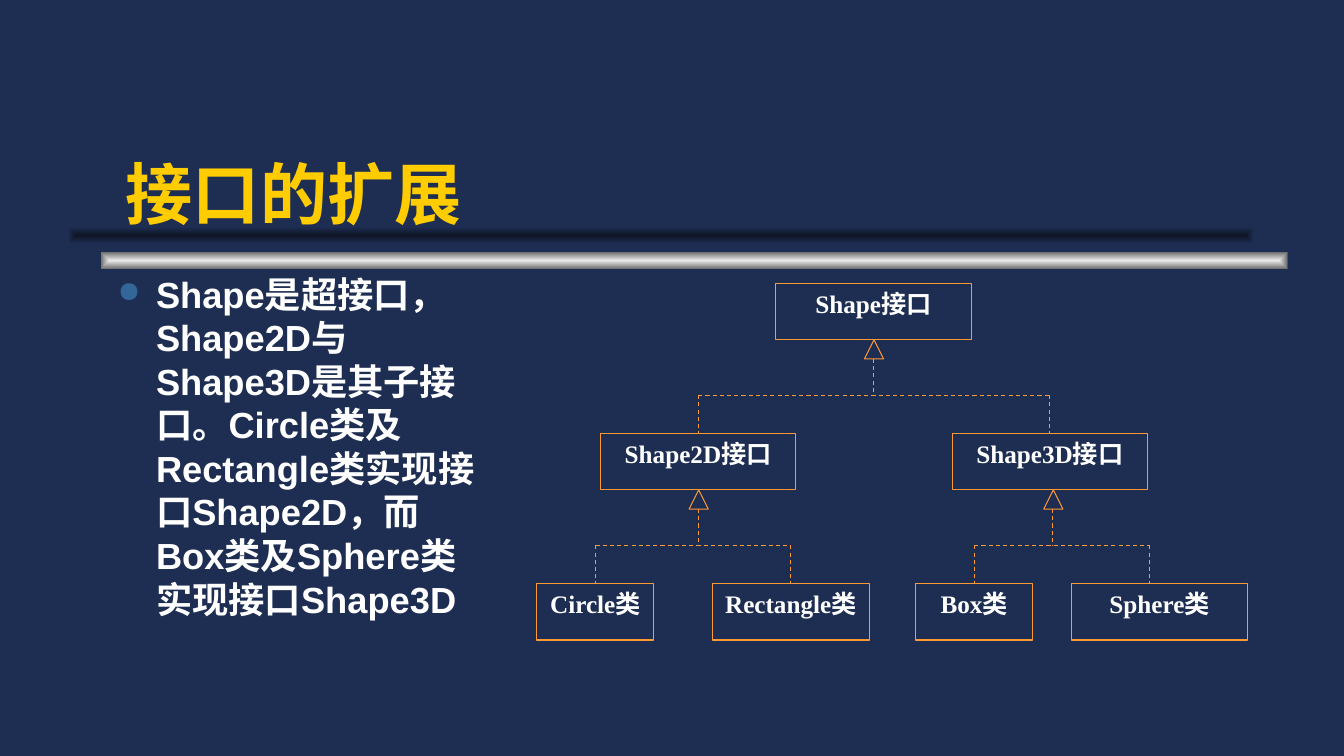
"""Build the slide on extending interfaces, with its class diagram."""
from dataclasses import dataclass
from typing import Optional

from lxml.etree import SubElement
from pptx import Presentation
from pptx.dml.color import RGBColor
from pptx.enum.dml import MSO_LINE
from pptx.enum.shapes import MSO_CONNECTOR, MSO_SHAPE
from pptx.enum.text import MSO_ANCHOR, PP_ALIGN
from pptx.oxml.ns import qn
from pptx.shapes.autoshape import Shape
from pptx.slide import Slide
from pptx.text.text import TextFrame
from pptx.util import Emu, Pt


@dataclass(frozen=True)
class Theme:
    """Colours, fonts and type sizes of the slide."""
    background: str = "1E2E53"
    bar: tuple[str, str] = ("EAEAEA", "6C6C6C")
    bar_shadow: tuple[str, str] = ("0E1526", "1E2E53")
    title: str = "FFCC00"
    text: str = "FFFFFF"
    bullet: str = "336699"
    line: str = "FF9933"
    sans: str = "Arial"
    serif: str = "Times New Roman"
    title_size: float = 48
    body_size: float = 25.9
    label_size: float = 18
    line_width: float = 0.75


@dataclass(frozen=True)
class Node:
    """A labelled box of the diagram."""
    label: str
    left: int
    top: int
    width: int

    @property
    def center(self) -> int:
        """Return the middle of the box across."""
        return self.left + self.width // 2


@dataclass(frozen=True)
class Branch:
    """A parent with the two children below it."""
    parent: str
    tip: int
    children: tuple[str, str]
    drops: tuple[int, int]


THEME = Theme()
PX = 9144
NODE_HEIGHT, TRIANGLE, DROP = 56, 19, 38
ROWS = [281 + 149 * i for i in range(3)]
NODES = [
    Node("Shape接口", 770, ROWS[0], 194),
    Node("Shape2D接口", 596, ROWS[1], 194),
    Node("Shape3D接口", 945, ROWS[1], 194),
    Node("Circle类", 533, ROWS[2], 116),
    Node("Rectangle类", 707, ROWS[2], 156),
    Node("Box类", 909, ROWS[2], 116),
    Node("Sphere类", 1064, ROWS[2], 174),
]
BRANCHES = [
    Branch("Shape接口", 867, ("Shape2D接口", "Shape3D接口"), (693, 1042)),
    Branch("Shape2D接口", 693, ("Circle类", "Rectangle类"), (591, 785)),
    Branch("Shape3D接口", 1045, ("Box类", "Sphere类"), (967, 1141)),
]
BODY = ("Shape是超接口，Shape2D与Shape3D是其子接口。Circle类及Rectangle类实现"
        "接口Shape2D，而Box类及Sphere类实现接口Shape3D")


def px(n: int) -> Emu:
    """Turn px into EMU."""
    return Emu(n * PX)


def rgb(color: str) -> RGBColor:
    """Read a hex colour."""
    return RGBColor.from_string(color)


def write(tf: TextFrame, text: str, *, size: float, font: str, color: str = THEME.text,
          align: PP_ALIGN = PP_ALIGN.LEFT, anchor: MSO_ANCHOR = MSO_ANCHOR.TOP,
          wrap: bool = True, bullet: Optional[str] = None) -> None:
    """Fill a text frame with one bold paragraph."""
    tf.word_wrap, tf.vertical_anchor = wrap, anchor
    p = tf.paragraphs[0]
    p.alignment = align
    if bullet:
        pPr = p._p.get_or_add_pPr()
        pPr.set("marL", str(px(38)))
        pPr.set("indent", str(px(-38)))
        SubElement(SubElement(pPr, qn("a:buClr")), qn("a:srgbClr"), val=THEME.bullet)
        SubElement(pPr, qn("a:buSzPct"), val="80000")
        SubElement(pPr, qn("a:buChar"), char=bullet)
    r = p.add_run()
    r.text = text
    r.font.size, r.font.name, r.font.bold = Pt(size), font, True
    r.font.color.rgb = rgb(color)


def add_text(s: Slide, box: tuple[int, int, int, int]) -> TextFrame:
    """Add a text box and return its frame."""
    return s.shapes.add_textbox(*map(px, box)).text_frame


def add_bar(s: Slide, left: int, top: int, colors: tuple[str, str]) -> None:
    """Add a bar shaded from its middle to its edges."""
    sp = s.shapes.add_shape(MSO_SHAPE.RECTANGLE, px(left), px(top), px(1178), px(17))
    sp.shadow.inherit = False
    sp.line.fill.background()
    sp.fill.gradient()
    for stop, color in zip(sp.fill.gradient_stops, colors):
        stop.color.rgb = rgb(color)
    grad = sp._element.spPr.find(qn("a:gradFill"))
    grad.remove(grad.find(qn("a:lin")))
    shade = SubElement(grad, qn("a:path"), {"path": "rect"})
    SubElement(shade, qn("a:fillToRect"), dict.fromkeys("ltrb", "50000"))


def add_outline(s: Slide, kind: MSO_SHAPE, left: int, top: int, width: int, height: int) -> Shape:
    """Add an unfilled shape with the diagram's outline."""
    sp = s.shapes.add_shape(kind, px(left), px(top), px(width), px(height))
    sp.shadow.inherit = False
    sp.fill.background()
    sp.line.color.rgb, sp.line.width = rgb(THEME.line), Pt(THEME.line_width)
    return sp


def add_node(s: Slide, node: Node) -> Shape:
    """Add a box with its label."""
    sp = add_outline(s, MSO_SHAPE.RECTANGLE, node.left, node.top, node.width, NODE_HEIGHT)
    write(sp.text_frame, node.label, size=THEME.label_size, font=THEME.serif,
          align=PP_ALIGN.CENTER, wrap=False)
    return sp


def add_dash(s: Slide, x1: int, y1: int, x2: int, y2: int, end: Optional[Shape] = None) -> None:
    """Add a dashed line, joined to the top of a box if one is given."""
    c = s.shapes.add_connector(MSO_CONNECTOR.STRAIGHT, px(x1), px(y1), px(x2), px(y2))
    c.line.color.rgb, c.line.width = rgb(THEME.line), Pt(THEME.line_width)
    c.line.dash_style = MSO_LINE.DASH
    SubElement(c._element.spPr, qn("a:effectLst"))
    if end is not None:
        c.end_connect(end, 0)


def add_branch(s: Slide, branch: Branch, nodes: dict[str, Node], shapes: dict[str, Shape]) -> None:
    """Add the triangle and lines between a parent and its children."""
    bottom = nodes[branch.parent].top + NODE_HEIGHT
    child_top = nodes[branch.children[0]].top
    bus = child_top - DROP
    add_outline(s, MSO_SHAPE.ISOSCELES_TRIANGLE, branch.tip - TRIANGLE // 2, bottom,
                TRIANGLE, TRIANGLE)
    add_dash(s, branch.tip, bottom + TRIANGLE, branch.tip, bus)
    add_dash(s, branch.drops[0], bus, branch.drops[1], bus)
    for child, x in zip(branch.children, branch.drops):
        add_dash(s, x, bus, x, child_top, shapes[child] if x == nodes[child].center else None)


def main() -> None:
    """Build and save the slide."""
    prs = Presentation()
    prs.slide_width, prs.slide_height = px(1334), px(750)
    s = prs.slides.add_slide(prs.slide_layouts[6])
    s.background.fill.solid()
    s.background.fill.fore_color.rgb = rgb(THEME.background)
    add_bar(s, 100, 250, THEME.bar)
    add_bar(s, 67, 225, THEME.bar_shadow)
    write(add_text(s, (107, 265, 382, 417)), BODY, size=THEME.body_size, font=THEME.sans,
          bullet="●")
    nodes = {node.label: node for node in NODES}
    shapes = {node.label: add_node(s, node) for node in NODES}
    for branch in BRANCHES:
        add_branch(s, branch, nodes, shapes)
    write(add_text(s, (115, 111, 1044, 125)), "接口的扩展", size=THEME.title_size,
          font=THEME.sans, color=THEME.title, anchor=MSO_ANCHOR.BOTTOM)
    prs.save("out.pptx")


if __name__ == "__main__":
    main()
